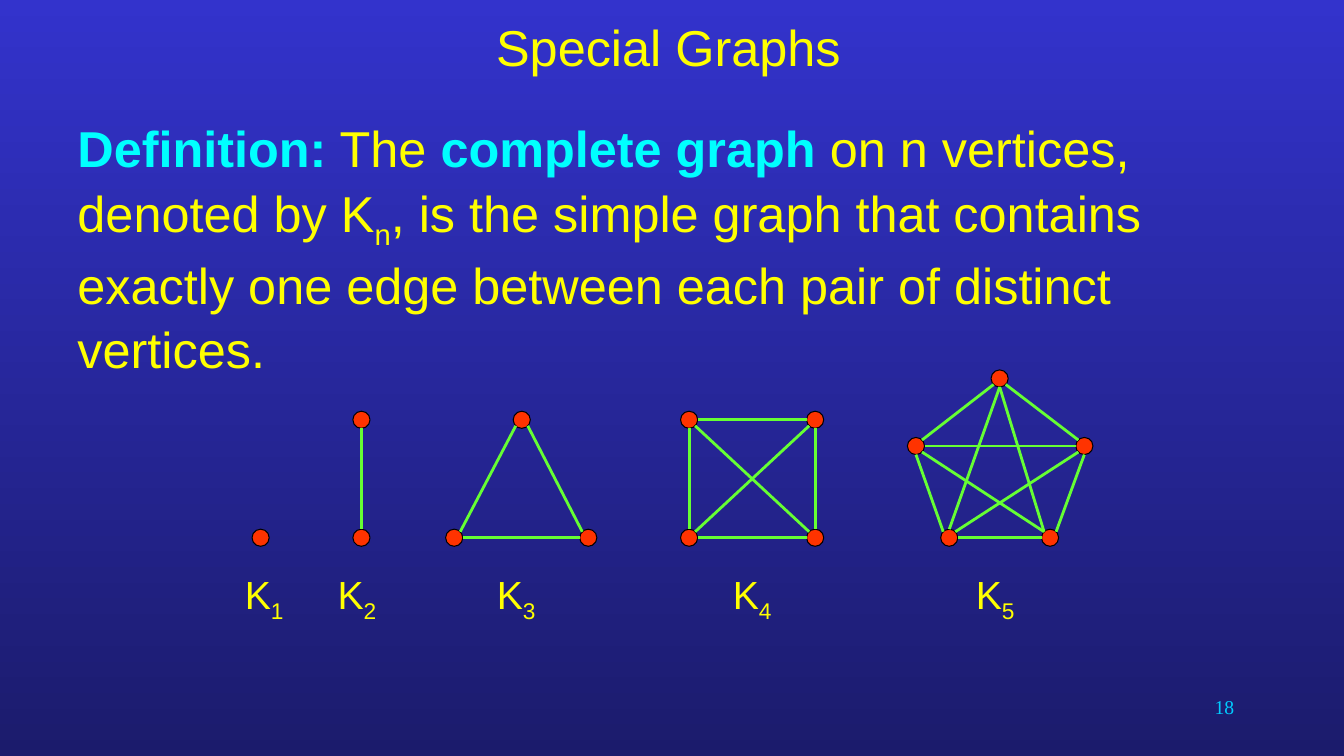
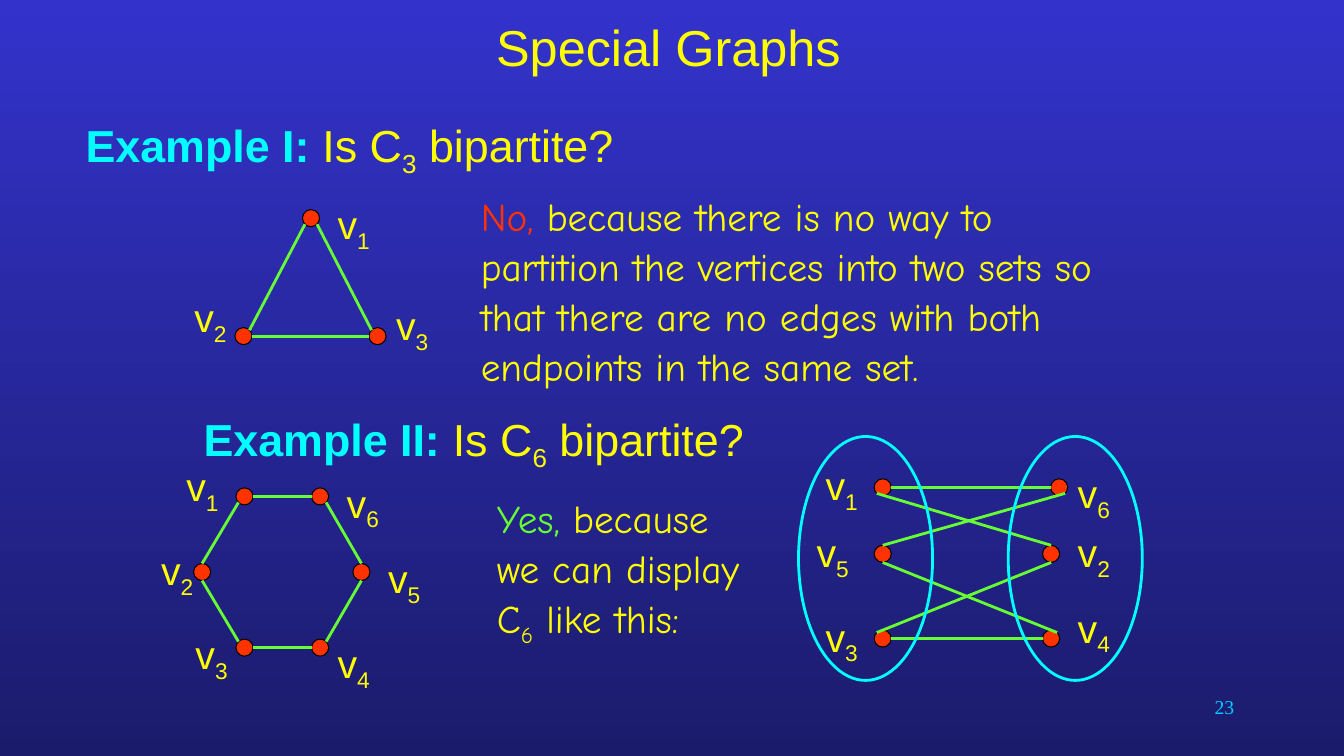
import pptx
import pptx.dml.color
import pptx.enum.shapes
import pptx.enum.text
import pptx.oxml.ns
import pptx.util
from lxml import etree

Inches = pptx.util.Inches
Pt = pptx.util.Pt
Shape = pptx.enum.shapes.MSO_SHAPE
Align = pptx.enum.text.PP_ALIGN

YELLOW, CYAN, RED, GREEN = "FFFF00", "00FFFF", "FF3300", "66FF33"
BLACK, NUMBER_BLUE = "000000", "00CCFF"
BACKGROUND = ("3333CC", "1B1B6C")
SANS, HAND, SERIF = "Arial", "Comic Neue", "Times New Roman"
LINE_SPACING = 1.06
DOT = 0.17

# Where an edge may meet a dot, as fractions of the dot's size
SITES = {
    "t": (0.5, 0), "b": (0.5, 1), "l": (0, 0.5), "r": (1, 0.5),
    "tl": (0.15, 0.15), "tr": (0.85, 0.15),
    "bl": (0.15, 0.85), "br": (0.85, 0.85),
}

# Dots: left and top within the graph's box. Edges: dot.site to dot.site.
POINT = ({"v1": (0, 0)}, [])
SEGMENT = ({"v1": (0, 0), "v2": (0, 1.17)}, ["v2.t v1.b"])
TRIANGLE = (
    {"v1": (0.67, 0), "v2": (0, 1.17), "v3": (1.33, 1.17)},
    ["v2.tr v1.bl", "v2.r v3.l", "v3.tl v1.br"],
)
SQUARE = (
    {"v1": (0, 0), "v2": (1.25, 0), "v3": (0, 1.17), "v4": (1.25, 1.17)},
    ["v3.t v1.b", "v1.r v2.l", "v2.b v4.t", "v3.r v4.l",
     "v3.tr v2.bl", "v1.br v4.tl"],
)
PENTAGON = (
    {"v1": (0.83, 0), "v2": (0, 0.67), "v3": (1.67, 0.67),
     "v4": (0.33, 1.58), "v5": (1.33, 1.58)},
    ["v2.b v4.tl", "v4.r v5.l", "v5.tr v3.b", "v3.tl v1.br", "v2.tr v1.bl",
     "v1.b v4.t", "v1.b v5.tl", "v2.r v3.l", "v2.br v5.tl", "v4.tr v3.bl"],
)
HEXAGON = (
    {"v1": (0.42, 0), "v2": (0, 0.75), "v3": (0.42, 1.5),
     "v4": (1.17, 1.5), "v5": (1.58, 0.75), "v6": (1.17, 0)},
    ["v2.b v3.tl", "v3.r v4.l", "v4.tr v5.b", "v5.t v6.br",
     "v2.t v1.bl", "v1.r v6.l"],
)
BIPARTITE = (
    {"v1": (0.75, 0.42), "v5": (0.75, 1.08), "v3": (0.75, 1.92),
     "v6": (2.5, 0.42), "v2": (2.42, 1.08), "v4": (2.42, 1.92)},
    ["v2.b v3.tl", "v3.r v4.l", "v4.tr v5.b", "v5.t v6.br",
     "v2.t v1.bl", "v1.r v6.l"],
)


def rgb(value):
    return pptx.dml.color.RGBColor.from_string(value)


def add_span(para, text, size, color, font=SANS, bold=False, subscript=False):
    span = para.add_run()
    span.text = text
    span.font.name = font
    span.font.size = Pt(size)
    span.font.bold = bold
    span.font.color.rgb = rgb(color)
    if subscript:
        span.font._element.set("baseline", "-25000")


def add_text(shapes, left, top, width, height, size, spans, font=SANS, align=None):
    """Add a text box; each span is text, colour and any of 'bold', 'sub'."""
    box = shapes.add_textbox(Inches(left), Inches(top), Inches(width), Inches(height))
    box.text_frame.word_wrap = True
    para = box.text_frame.paragraphs[0]
    para.line_spacing = LINE_SPACING
    if align is not None:
        para.alignment = align
    for text, color, *styles in spans:
        add_span(para, text, size, color, font, "bold" in styles, "sub" in styles)


def add_label(shapes, left, top, width, name):
    """Add a letter with its index set as a subscript."""
    add_text(shapes, left, top, width, 0.57, 28,
             [(name[0], YELLOW), (name[1:], YELLOW, "sub")])


def add_oval(shapes, kind, left, top, width, height, fill, line, weight):
    oval = shapes.add_shape(kind, Inches(left), Inches(top), Inches(width), Inches(height))
    oval.shadow.inherit = False
    if fill:
        oval.fill.solid()
        oval.fill.fore_color.rgb = rgb(fill)
    else:
        oval.fill.background()
    oval.line.color.rgb = rgb(line)
    oval.line.width = Pt(weight)


def add_edge(shapes, start, end):
    edge = shapes.add_connector(
        pptx.enum.shapes.MSO_CONNECTOR.STRAIGHT,
        *(Inches(length) for length in (*start, *end)))
    edge.line.color.rgb = rgb(GREEN)
    edge.line.width = Pt(2)
    properties = edge._element.spPr
    etree.SubElement(properties, pptx.oxml.ns.qn("a:effectLst"))


def add_graph(page, left, top, graph, labels=None):
    """Draw dots, edges and labels as one group in the box at left, top."""
    dots, edges = graph
    shapes = page.shapes.add_group_shape().shapes

    def site_position(joint):
        dot, site = joint.split(".")
        return tuple(origin + offset + DOT * share for origin, offset, share
                     in zip((left, top), dots[dot], SITES[site]))

    for x, y in dots.values():
        add_oval(shapes, Shape.FLOWCHART_CONNECTOR, left + x, top + y,
                 DOT, DOT, RED, BLACK, 0.75)
    for edge in edges:
        start, end = edge.split()
        add_edge(shapes, site_position(start), site_position(end))
    for name, (x, y) in (labels or {}).items():
        add_label(shapes, left + x, top + y, 0.75, name)


def add_page(deck, number):
    page = deck.slides.add_slide(deck.slide_layouts[5])
    title = page.shapes.title
    title.left, title.top = Inches(1.92), Inches(0)
    title.width, title.height = Inches(9.42), Inches(0.92)
    title.text_frame.vertical_anchor = pptx.enum.text.MSO_ANCHOR.MIDDLE
    para = title.text_frame.paragraphs[0]
    para.alignment = Align.CENTER
    add_span(para, "Special Graphs", 36, YELLOW)
    add_text(page.shapes, 9.56, 6.83, 2.78, 0.5, 14,
             [(number, NUMBER_BLUE)], SERIF, Align.RIGHT)
    return page


def add_question(page, left, top, width, heading, index):
    add_text(page.shapes, left, top, width, 0.67, 32, [
        (heading, CYAN, "bold"), (" Is C", YELLOW),
        (index, YELLOW, "sub"), (" bipartite?", YELLOW)])


def add_bipartite_view(page, left, top):
    add_graph(page, left, top, BIPARTITE, {
        "v1": (0.17, 0.17), "v5": (0.08, 0.83), "v3": (0.17, 1.67),
        "v6": (2.67, 0.25), "v2": (2.67, 0.83), "v4": (2.67, 1.58)})
    for offset in (0, 2.08):
        add_oval(page.shapes, Shape.OVAL, left + offset, top, 1.33, 2.42, None, CYAN, 2)


def add_complete_graphs_page(deck):
    page = add_page(deck, "18")
    add_text(page.shapes, 0.67, 1.08, 12, 2.08, 36, [
        ("Definition:", CYAN, "bold"), (" The ", YELLOW),
        ("complete graph", CYAN, "bold"),
        (" on n vertices, denoted by K", YELLOW), ("n", YELLOW, "sub"),
        (", is the simple graph that contains exactly one edge between "
         "each pair of distinct vertices.", YELLOW)])
    complete_graphs = [
        (2.5, 5.25, POINT, 2.33),
        (3.5, 4.08, SEGMENT, 3.25),
        (4.42, 4.08, TRIANGLE, 4.83),
        (6.75, 4.08, SQUARE, 7.17),
        (9, 3.67, PENTAGON, 9.58),
    ]
    for order, (left, top, graph, label_left) in enumerate(complete_graphs, 1):
        add_graph(page, left, top, graph)
        add_label(page.shapes, label_left, 5.58, 0.67, f"K{order}")


def add_bipartite_page(deck):
    page = add_page(deck, "23")
    add_question(page, 0.75, 1.08, 6.58, "Example I:", "3")
    add_graph(page, 2.33, 2.08, TRIANGLE, {
        "v1": (0.92, -0.17), "v2": (-0.5, 0.75), "v3": (1.5, 0.83)})
    add_text(page.shapes, 4.67, 1.83, 6.75, 1.42, 28, [
        ("No,", RED),
        (" because there is no way to partition the vertices into two sets "
         "so that there are no edges with both endpoints in the same set.",
         YELLOW)], HAND)
    add_question(page, 1.92, 4, 5.75, "Example II:", "6")
    add_graph(page, 1.92, 4.84, HEXAGON, {
        "v1": (-0.17, -0.33), "v2": (-0.42, 0.5), "v3": (-0.08, 1.33),
        "v4": (1.33, 1.42), "v5": (1.83, 0.58), "v6": (1.42, -0.17)})
    add_text(page.shapes, 4.83, 4.83, 2.83, 1.58, 28, [
        ("Yes, ", GREEN), ("because we can display C", YELLOW),
        ("6", YELLOW, "sub"), (" like this:", YELLOW)], HAND)
    add_bipartite_view(page, 7.92, 4.33)


def set_background(deck):
    fill = deck.slide_master.background.fill
    fill.gradient()
    fill.gradient_angle = 270
    for stop, color in zip(fill.gradient_stops, BACKGROUND):
        stop.color.rgb = rgb(color)


def main():
    deck = pptx.Presentation()
    deck.slide_width, deck.slide_height = Inches(13.33), Inches(7.5)
    set_background(deck)
    add_complete_graphs_page(deck)
    add_bipartite_page(deck)
    deck.save("out.pptx")


if __name__ == "__main__":
    main()
